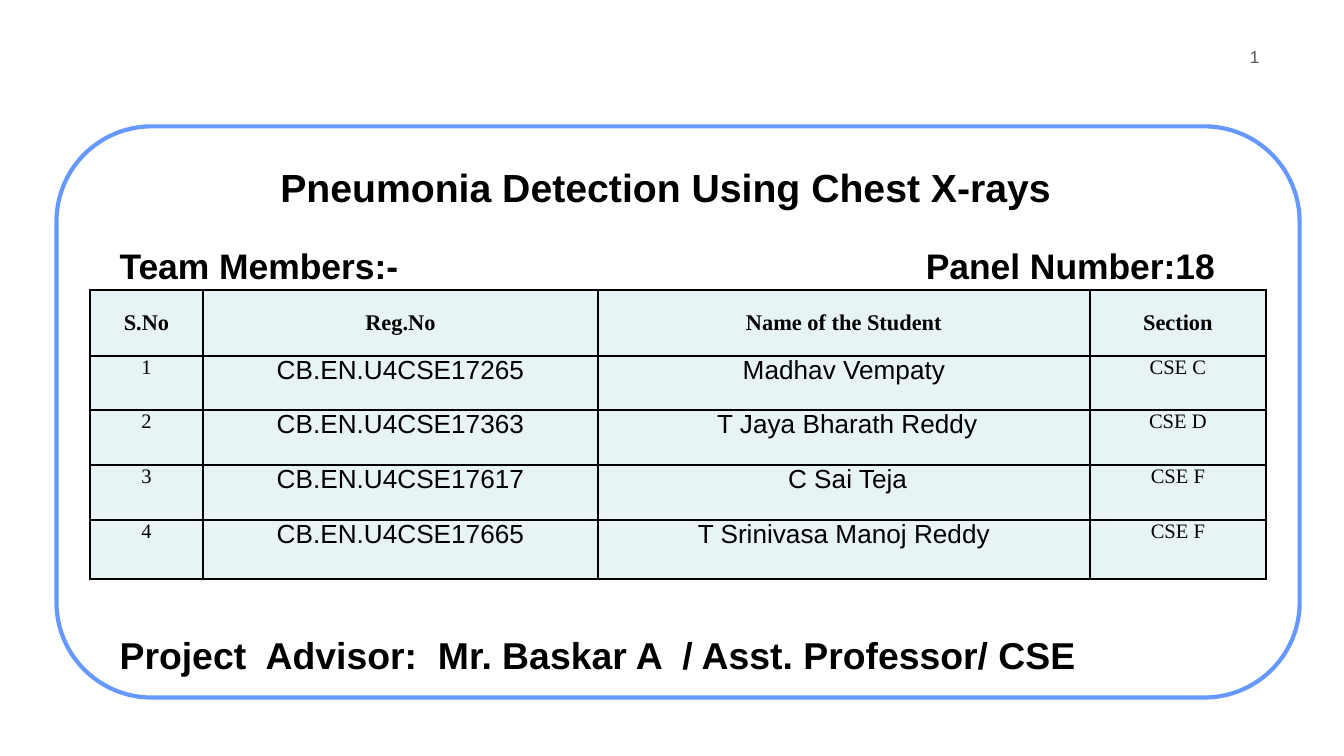
from lxml.etree import SubElement
from pptx import Presentation
from pptx.dml.color import RGBColor
from pptx.enum.shapes import MSO_SHAPE as Shape
from pptx.enum.text import MSO_ANCHOR as Anchor, PP_ALIGN as Align
from pptx.oxml.ns import qn
from pptx.util import Inches, Pt

WIDE = 10
HIGH = WIDE * 9 / 16
SANS, SERIF = "Arial", "Times New Roman"
INK, GREY, WHITE, BLUE, TINT = "000000", "595959", "FFFFFF", "6699FF", "E7F3F4"

FRAME = (0.42, 0.94, 9.25, 4.25)
PAD, STOP = 0.05, 8.15
NUMBER = ("1", SANS, 9.2, False, GREY, Align.RIGHT)
TITLE = ("Pneumonia Detection Using Chest X-rays ", SANS, 21, True, INK, Align.CENTER)
TOP = ("Team Members:-\tPanel Number:18", SANS, 19, True, INK, Align.LEFT)
GUIDE = ("Project  Advisor:  Mr. Baskar A  / Asst. Professor/ CSE", SANS, 20, True, INK, Align.LEFT)
BOXES = [
    ((9.09, 0.31, 0.33, 0.24), Anchor.TOP, 0.9, 0, [NUMBER]),
    ((1.08, 1.06, 7.83, 0.66), Anchor.MIDDLE, 1.0, 0, [TITLE]),
    ((0.84, 1.83, 8.76, 2.8), Anchor.TOP, 0.8, 190, [TOP, GUIDE]),
]

ORIGIN = (0.67, 2.16)
COLS = [0.84, 2.94, 3.66, 1.31]
ROWS = [0.49, 0.4, 0.41, 0.41, 0.44]
FONTS = [(SERIF, 11), (SANS, 14), (SANS, 14), (SERIF, 11)]
HEAD = ("S.No", "Reg.No", "Name of the Student", "Section")
TEAM = [
    ("1", "CB.EN.U4CSE17265", "Madhav Vempaty", "CSE C"),
    ("2", "CB.EN.U4CSE17363", " T Jaya Bharath Reddy", "CSE D"),
    ("3", "CB.EN.U4CSE17617", " C Sai Teja", "CSE F"),
    ("4", "CB.EN.U4CSE17665", "T Srinivasa Manoj Reddy", "CSE F"),
]


def paint(fill, color):
    fill.solid()
    fill.fore_color.rgb = RGBColor.from_string(color)


def write(para, text, face, size, bold, color, align):
    para.text, para.alignment = text, align
    font = para.font
    font.name, font.size, font.bold = face, Pt(size), bold
    font.color.rgb = RGBColor.from_string(color)


def add_frame(slide):
    box = slide.shapes.add_shape(Shape.ROUNDED_RECTANGLE, *map(Inches, FRAME))
    box.shadow.inherit = False
    paint(box.fill, WHITE)
    paint(box.line.fill, BLUE)
    box.line.width = Pt(2.25)


def add_stop(para):
    stops = para._p.get_or_add_pPr().makeelement(qn("a:tabLst"))
    SubElement(stops, qn("a:tab"), pos=str(Inches(STOP)), algn="r")
    para._p.pPr.insert_element_before(stops, "a:defRPr", "a:extLst")


def add_box(slide, place, anchor, pitch, gap, lines):
    frame = slide.shapes.add_textbox(*map(Inches, place)).text_frame
    frame.word_wrap = True
    frame.vertical_anchor = anchor
    frame.margin_left = frame.margin_right = Inches(PAD)
    frame.margin_top = frame.margin_bottom = Inches(PAD)
    for i, line in enumerate(lines):
        para = frame.add_paragraph() if i else frame.paragraphs[0]
        write(para, *line)
        para.line_spacing = pitch
        if i:
            para.space_before = Pt(gap)
        if "\t" in line[0]:
            add_stop(para)


def add_border(cell):
    props = cell._tc.get_or_add_tcPr()
    for side in ("a:lnL", "a:lnR", "a:lnT", "a:lnB"):
        line = SubElement(props, qn(side), w=str(Pt(1)))
        SubElement(SubElement(line, qn("a:solidFill")), qn("a:srgbClr"), val=INK)


def add_team(slide):
    size = map(Inches, (*ORIGIN, sum(COLS), sum(ROWS)))
    table = slide.shapes.add_table(len(ROWS), len(COLS), *size).table
    for col, width in zip(table.columns, COLS):
        col.width = Inches(width)
    for row, tall in zip(table.rows, ROWS):
        row.height = Inches(tall)
    for r, texts in enumerate([HEAD] + TEAM):
        head = r == 0
        for c, text in enumerate(texts):
            cell = table.cell(r, c)
            add_border(cell)
            paint(cell.fill, TINT)
            cell.margin_left = cell.margin_right = 0
            cell.margin_top = cell.margin_bottom = 0
            cell.vertical_anchor = Anchor.MIDDLE if head else Anchor.TOP
            face, points = (SERIF, 12) if head else FONTS[c]
            para = cell.text_frame.paragraphs[0]
            write(para, text, face, points, head, INK, Align.CENTER)


def main():
    """Build the project team slide."""
    deck = Presentation()
    deck.slide_width, deck.slide_height = Inches(WIDE), Inches(HIGH)
    slide = deck.slides.add_slide(deck.slide_layouts[6])
    add_frame(slide)
    for box in BOXES:
        add_box(slide, *box)
    add_team(slide)
    deck.save("out.pptx")


if __name__ == "__main__":
    main()
